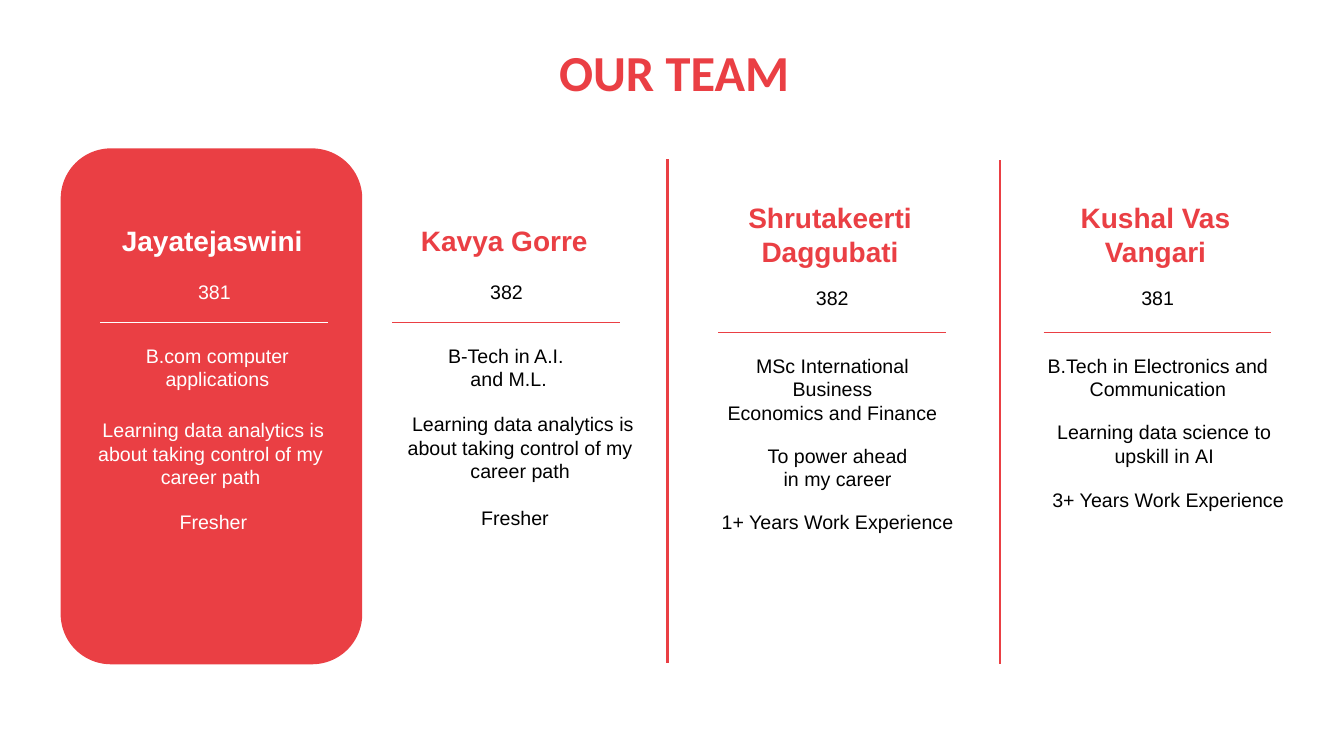
from dataclasses import dataclass

from lxml import etree
from pptx import Presentation
from pptx.dml.color import RGBColor
from pptx.enum.shapes import MSO_CONNECTOR, MSO_SHAPE
from pptx.enum.text import MSO_ANCHOR, PP_ALIGN
from pptx.oxml.ns import qn
from pptx.util import Cm, Pt

CENTER = PP_ALIGN.CENTER
TOP = MSO_ANCHOR.TOP
STRAIGHT = MSO_CONNECTOR.STRAIGHT
ROUNDED = MSO_SHAPE.ROUNDED_RECTANGLE
NBSP = chr(160)


@dataclass(frozen=True)
class Theme:
    red: RGBColor = RGBColor(0xEA, 0x3F, 0x44)
    white: RGBColor = RGBColor(0xFF, 0xFF, 0xFF)
    black: RGBColor = RGBColor(0, 0, 0)
    title_font: str = "Calibri"
    body_font: str = "Arial"
    title_size: int = 36
    name_size: int = 20
    body_size: int = 14
    divider_width: float = 2
    rule_width: float = 0.25


THEME = Theme()
NAME_WIDTH = 5.56
LEARNING = " Learning data analytics is about taking control of my career path"

# Each member: left and top of the name, number top, rule top, details as (left, top, width, text)
MEMBERS = [
    dict(name="Jayatejaswini", number="381", left=2.57, tops=(5.51, 6.93, 8.13), details=[
        (2.62, 8.53, 5.72, "B.com computer applications"),
        (2.11, 10.41, 6.4, LEARNING),
        (2.18, 12.73, 6.4, "Fresher")]),
    dict(name="Kavya Gorre", number="382", left=9.93, tops=(5.51, 6.93, 8.13), details=[
        (9.96, 8.53, 5.72, "B-Tech in A.I. \nand M.L."),
        (9.91, 10.26, 6.4, LEARNING),
        (9.78, 12.62, 6.4, "Fresher")]),
    dict(name="Shrutakeerti Daggubati", number="382", left=18.14, tops=(4.93, 7.09, 8.38), details=[
        (17.78, 8.79, 6.4,
         f"MSc International Business Economics{NBSP}and{NBSP}Finance"),
        (17.91, 11.05, 6.4, f"To power ahead in{NBSP}my{NBSP}career"),
        (17.91, 12.73, 6.4, "1+ Years Work Experience")]),
    dict(name="Kushal Vas\nVangari", number="381", left=26.34, tops=(4.93, 7.09, 8.38), details=[
        (25.98, 8.79, 6.4, "B.Tech in Electronics and\nCommunication"),
        (26.14, 10.46, 6.4, f"Learning data science to upskill{NBSP}in{NBSP}AI"),
        (26.24, 12.17, 6.4, "3+ Years Work Experience")]),
]


def format_text(tf, text, size, color, font=THEME.body_font, bold=False):
    tf.word_wrap = True
    tf.vertical_anchor = TOP
    tf.text = text
    for p in tf.paragraphs:
        p.alignment = CENTER
        p.font.name = font
        p.font.size = Pt(size)
        p.font.bold = bold
        p.font.color.rgb = color


def add_text(s, left, top, width, text, size, color, bold=False):
    lines = text.count("\n") + 1
    height = 0.25 + lines * size * 0.0425
    box = s.shapes.add_textbox(Cm(left), Cm(top), Cm(width), Cm(height))
    format_text(box.text_frame, text, size, color, bold=bold)


def add_line(s, x1, y1, x2, y2, color, width):
    line = s.shapes.add_connector(STRAIGHT, Cm(x1), Cm(y1), Cm(x2), Cm(y2))
    line.line.color.rgb = color
    line.line.width = Pt(width)
    etree.SubElement(line._element.spPr, qn("a:effectLst"))


def add_title(s, text):
    title = s.shapes.title
    title.left, title.top, title.width, title.height = Cm(6.93), Cm(0.91), Cm(20.12), Cm(1.78)
    format_text(title.text_frame, text, THEME.title_size, THEME.red, THEME.title_font, True)


def add_highlight(s):
    """Draw the red card behind the first member."""
    card = s.shapes.add_shape(ROUNDED, Cm(1.53), Cm(3.74), Cm(7.6), Cm(13))
    card.shadow.inherit = False
    card.fill.solid()
    card.fill.fore_color.rgb = THEME.red
    card.line.fill.background()


def add_member(s, member, accent, body_color):
    left = member["left"]
    name_top, number_top, rule_top = member["tops"]
    add_text(s, left, name_top, NAME_WIDTH, member["name"], THEME.name_size, accent, True)
    add_text(s, left + 0.69, number_top, 4.29, member["number"], THEME.body_size, body_color)
    add_line(s, left - 0.04, rule_top, left + 5.7, rule_top, accent, THEME.rule_width)
    for x, y, width, text in member["details"]:
        add_text(s, x, y, width, text, THEME.body_size, body_color)


def main():
    prs = Presentation()
    prs.slide_width, prs.slide_height = Cm(33.87), Cm(19.05)
    s = prs.slides.add_slide(prs.slide_layouts[5])
    add_title(s, "OUR TEAM")
    add_highlight(s)
    for x, top in ((16.82, 4.01), (25.2, 4.04)):
        add_line(s, x, top, x, top + 12.7, THEME.red, THEME.divider_width)
    for i, member in enumerate(MEMBERS):
        colors = (THEME.red, THEME.black) if i else (THEME.white, THEME.white)
        add_member(s, member, *colors)
    prs.save("out.pptx")


if __name__ == "__main__":
    main()
